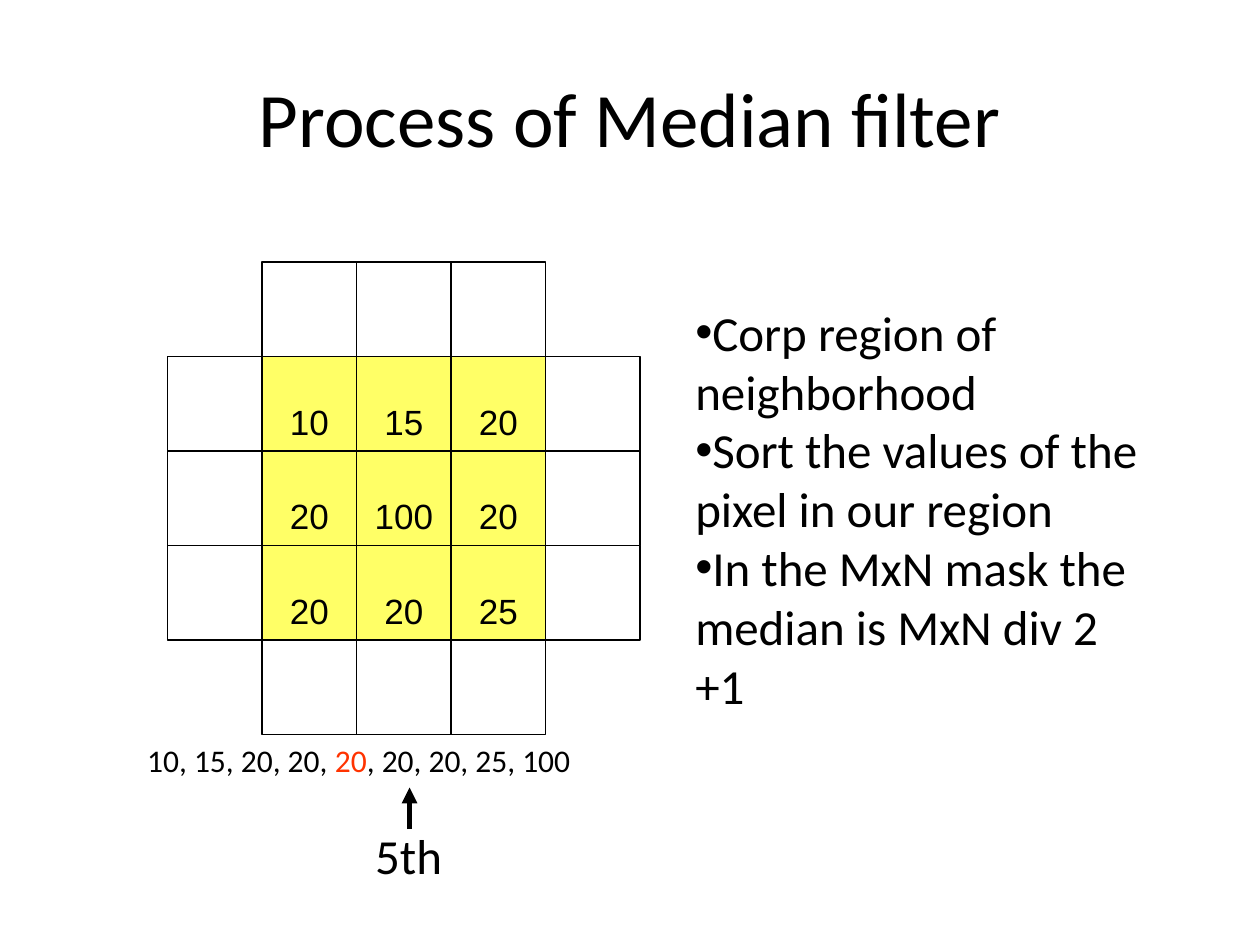
from pptx import Presentation
from pptx.dml.color import RGBColor
from pptx.enum.shapes import MSO_CONNECTOR as Conn, MSO_SHAPE as Shape
from pptx.enum.text import MSO_ANCHOR as Anchor, PP_ALIGN as Align
from pptx.oxml.ns import qn
from pptx.util import Inches, Pt
from lxml.etree import SubElement as Sub


def color(code):
    return RGBColor.from_string(code)


def write(frame, paras, size=28, font="Calibri", ink="000000",
          align=Align.LEFT, bullet=None):
    """Fill a frame; each paragraph is a list of (text, colour or None)."""
    for i, runs in enumerate(paras):
        para = frame.paragraphs[0] if i == 0 else frame.add_paragraph()
        para.alignment = align
        if bullet:
            props = para._p.get_or_add_pPr()
            props.set("marL", "0")
            props.set("indent", "0")
            Sub(props, qn("a:buFont"), typeface="Arial")
            Sub(props, qn("a:buChar"), char=bullet)
        for text, tint in runs:
            run = para.add_run()
            run.text = text
            run.font.size = Pt(size)
            run.font.name = font
            run.font.color.rgb = color(tint or ink)


class Deck:
    INK, MASK, MARK = "000000", "FFFF66", "FF3300"
    SIDE = 0.75

    def __init__(self, slide):
        self.slide = slide
        self.shapes = slide.shapes

    def text(self, x, y, w, h, paras, wrap=True, anchor=Anchor.TOP, **form):
        frame = self.shapes.add_textbox(*map(Inches, (x, y, w, h))).text_frame
        frame.word_wrap = wrap
        frame.vertical_anchor = anchor
        write(frame, paras, **form)

    def cell(self, x, y, fill=None, value=None):
        box = self.shapes.add_shape(
            Shape.RECTANGLE, *map(Inches, (x, y, self.SIDE, self.SIDE)))
        box.shadow.inherit = False
        box.line.color.rgb = color(self.INK)
        box.line.width = Pt(0.75)
        if fill:
            box.fill.solid()
            box.fill.fore_color.rgb = color(fill)
        else:
            box.fill.background()
        if value is not None:
            frame = box.text_frame
            frame.word_wrap = False
            frame.vertical_anchor = Anchor.BOTTOM
            frame.margin_bottom = Inches(0.07)
            write(frame, [[(str(value), None)]], size=20, font="Arial",
                  align=Align.CENTER)

    def arrow(self, x1, y1, x2, y2):
        line = self.shapes.add_connector(
            Conn.STRAIGHT, *map(Inches, (x1, y1, x2, y2)))
        line.line.color.rgb = color(self.INK)
        line.line.width = Pt(3)
        Sub(line.line._get_or_add_ln(), qn("a:tailEnd"), type="triangle")
        Sub(line._element.spPr, qn("a:effectLst"))


def main():
    prs = Presentation()
    prs.slide_width, prs.slide_height = Inches(10), Inches(7.5)
    deck = Deck(prs.slides.add_slide(prs.slide_layouts[6]))

    # Title
    deck.text(0.5, 0.3, 9, 1.25, [[("Process of Median filter", None)]],
              anchor=Anchor.MIDDLE, size=44, align=Align.CENTER)

    # Steps
    steps = ["Corp region of neighborhood",
             "Sort the values of the pixel in our region",
             "In the MxN mask the median is MxN div 2 +1"]
    deck.text(5.42, 2.35, 3.83, 4.5, [[(step, None)] for step in steps],
              bullet="•")

    # Pixel grid without corners; the mask is its 3 x 3 centre
    values = [[10, 15, 20], [20, 100, 20], [20, 20, 25]]
    left, top = 1.33, 2.08
    for row in range(5):
        for col in range(5):
            x, y = left + col * deck.SIDE, top + row * deck.SIDE
            if row in (1, 2, 3) and col in (1, 2, 3):
                deck.cell(x, y, fill=deck.MASK)
                deck.cell(x, y, value=values[row - 1][col - 1])
            elif row not in (0, 4) or col not in (0, 4):
                deck.cell(x, y)

    # Sorted values with the median marked
    deck.text(1.07, 5.83, 4.49, 0.4,
              [[("10, 15, 20, 20, ", None), ("20", deck.MARK),
                (", 20, 20, 25, 100", None)]], wrap=False, size=18)
    deck.text(2.88, 6.5, 0.84, 0.56, [[("5th", None)]], wrap=False)
    deck.arrow(3.25, 6.58, 3.25, 6.25)

    prs.save("out.pptx")


if __name__ == "__main__":
    main()
